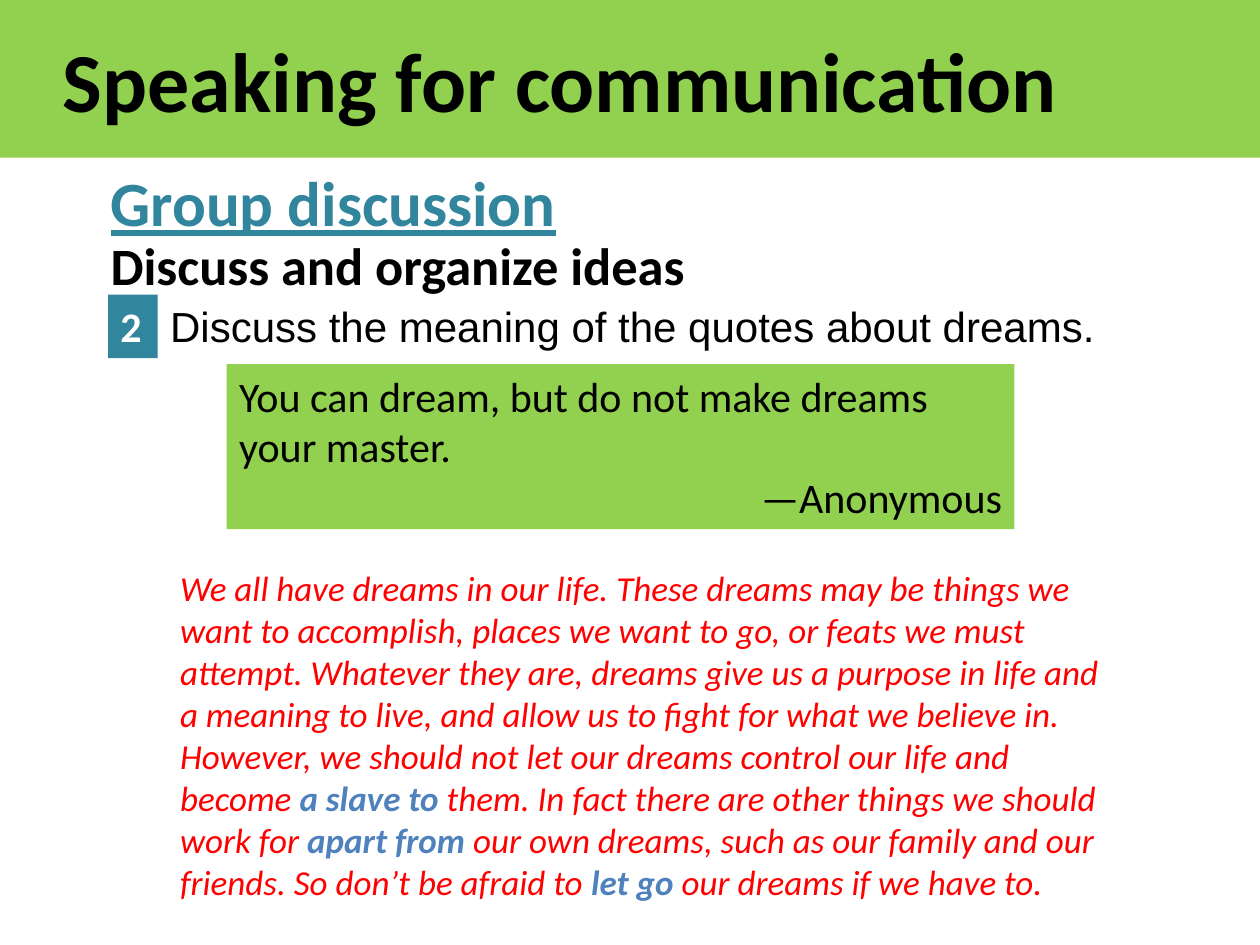
from pptx import Presentation
from pptx.dml.color import RGBColor
from pptx.enum.shapes import MSO_SHAPE as Shape
from pptx.enum.text import MSO_ANCHOR as Anchor, MSO_AUTO_SIZE as AutoSize, PP_ALIGN as Align
from pptx.util import Cm, Pt

BLACK = RGBColor(0x00, 0x00, 0x00)
WHITE = RGBColor(0xFF, 0xFF, 0xFF)
GREEN = RGBColor(0x92, 0xD0, 0x50)
TEAL = RGBColor(0x31, 0x85, 0x9C)
RED = RGBColor(0xFF, 0x00, 0x00)
BLUE = RGBColor(0x4F, 0x81, 0xBD)

PAGE_WIDTH, PAGE_HEIGHT = 25.4, 19.05
HEADING_LEFT = 1.98
TASK_TOP, TASK_HEIGHT = 5.94, 1.28
BADGE_LEFT, BADGE_WIDTH = 2.18, 1.0


class SlideBuilder:
    """Holds the text style and the slide being filled."""

    base = {"name": "Calibri", "size": Pt(24), "bold": False, "color": BLACK}

    def __init__(self, page):
        self.page = page

    def set_text(self, shape, paragraphs, style, wrap=True):
        """Fill a shape; each paragraph is a list of (text, format changes)."""
        frame = shape.text_frame
        frame.word_wrap = wrap
        frame.auto_size = AutoSize.SHAPE_TO_FIT_TEXT
        for index, spans in enumerate(paragraphs):
            para = frame.add_paragraph() if index else frame.paragraphs[0]
            para.alignment = Align.LEFT
            for text, changes in spans:
                span = para.add_run()
                span.text = text
                for key, value in {**self.base, **style, **changes}.items():
                    if key == "color":
                        span.font.color.rgb = value
                    else:
                        setattr(span.font, key, value)
        return shape

    def label(self, place, paragraphs, parent=None, wrap=True, **style):
        shapes = (parent or self.page).shapes
        box = shapes.add_textbox(*map(Cm, place))
        return self.set_text(box, paragraphs, style, wrap)

    def panel(self, place, paragraphs, fill, parent=None, anchor=Anchor.TOP, **style):
        shapes = (parent or self.page).shapes
        panel = shapes.add_shape(Shape.RECTANGLE, *map(Cm, place))
        panel.shadow.inherit = False
        panel.fill.solid()
        panel.fill.fore_color.rgb = fill
        panel.line.fill.background()
        panel.text_frame.vertical_anchor = anchor
        return self.set_text(panel, paragraphs, style)


def main():
    deck = Presentation()
    deck.slide_width, deck.slide_height = Cm(PAGE_WIDTH), Cm(PAGE_HEIGHT)
    builder = SlideBuilder(deck.slides.add_slide(deck.slide_layouts[6]))

    banner = builder.panel((0, 0, PAGE_WIDTH, 3.18), [[("Speaking for communication", {})]],
                           GREEN, anchor=Anchor.MIDDLE, size=Pt(48), bold=True)
    banner.text_frame.auto_size = AutoSize.NONE
    banner.text_frame.paragraphs[0]._p.get_or_add_pPr().set("indent", str(Cm(1.02)))

    builder.label((HEADING_LEFT, 3.18, 9.6, 1.8), [[("Group discussion", {})]],
                  wrap=False, size=Pt(36), bold=True, underline=True, color=TEAL)

    task = builder.page.shapes.add_group_shape()
    builder.panel((BADGE_LEFT, TASK_TOP, BADGE_WIDTH, TASK_HEIGHT), [[("2", {})]],
                  TEAL, parent=task, bold=True, color=WHITE)
    builder.label((BADGE_LEFT + BADGE_WIDTH, TASK_TOP, 20.24, TASK_HEIGHT),
                  [[("Discuss the meaning of the quotes about dreams.", {})]],
                  parent=task, name="Arial")

    builder.label((HEADING_LEFT, 4.57, 13.06, 1.55), [[("Discuss and organize ideas", {})]],
                  size=Pt(30), bold=True)

    quote = builder.panel((4.57, 7.34, 15.88, 3.33), [
        [("You can dream, but do not make dreams your master.", {})],
        [("—Anonymous", {})],
    ], GREEN)
    quote.text_frame.paragraphs[1].alignment = Align.RIGHT

    phrase = {"bold": True, "color": BLUE}
    builder.label((3.38, 11.3, 19.25, 7.09), [[
        ("We all have dreams in our life. These dreams may be things we want to accomplish, "
         "places we want to go, or feats we must attempt. Whatever they are, dreams give us "
         "a purpose in life and a meaning to live, and allow us to fight for what we believe "
         "in. However, we should not let our dreams control our life and become ", {}),
        ("a slave to ", phrase),
        ("them. In fact there are other things we should work for ", {}),
        ("apart from ", phrase),
        ("our own dreams, such as our family and our friends. So don’t be afraid to ", {}),
        ("let go ", phrase),
        ("our dreams if we have to.", {}),
    ]], size=Pt(20), italic=True, color=RED)

    deck.save("out.pptx")


if __name__ == "__main__":
    main()
